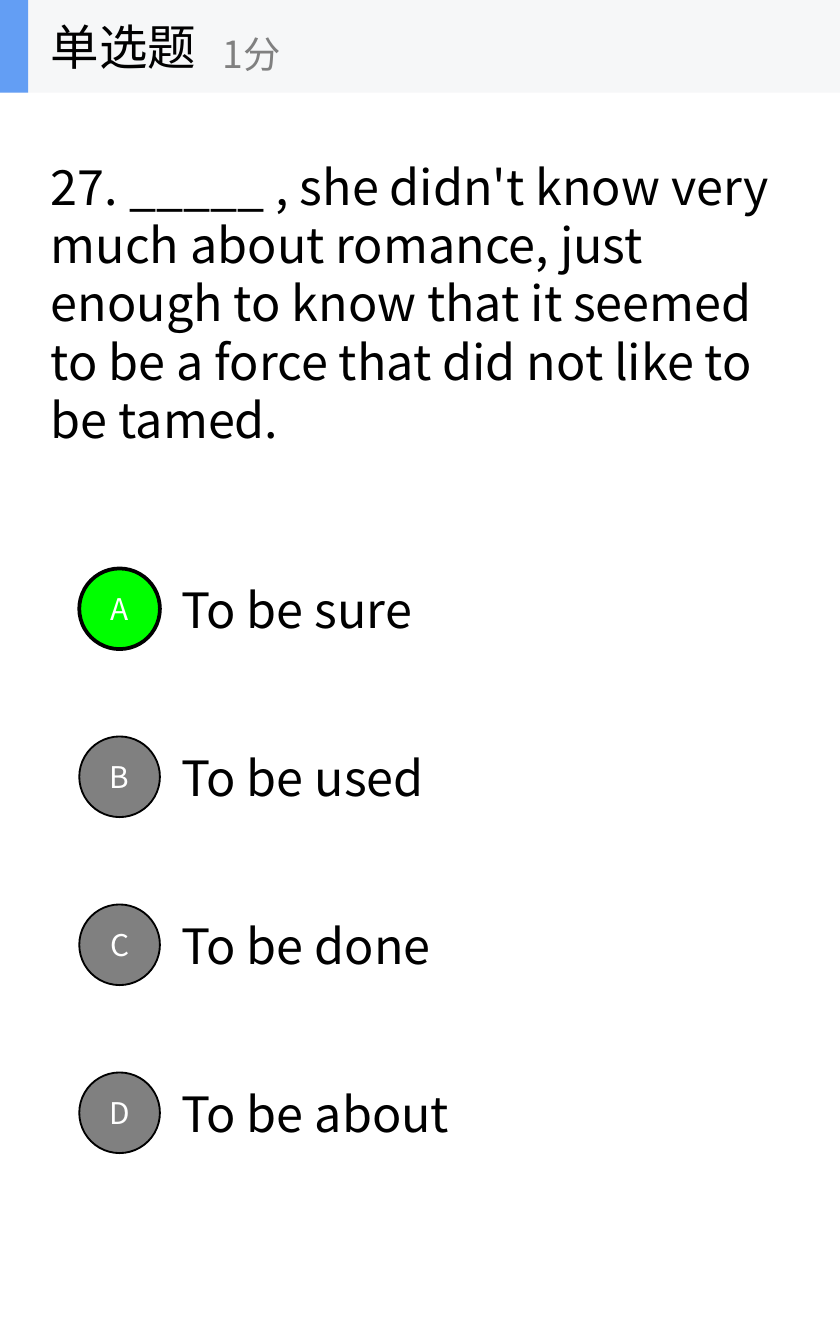
from pptx import Presentation
from pptx.dml.color import RGBColor
from pptx.enum import shapes, text
from pptx.util import Inches, Pt

FONT = "Noto Sans CJK SC"
COLORS = {
    "black": "000000", "white": "FFFFFF", "gray": "808080",
    "correct": "00FF00", "band": "F6F7F8", "accent": "639EF4",
}

# Content
TITLE = "单选题"
SCORE = "1分"
QUESTION = ("27. _____ , she didn't know very much about romance, just enough to know "
            "that it seemed to be a force that did not like to be tamed.")
OPTIONS = [("A", "To be sure"), ("B", "To be used"), ("C", "To be done"), ("D", "To be about")]
ANSWER = "A"

# Layout in inches
WIDTH, HEIGHT = 6.25, 10
HEADER_HEIGHT = 0.69
FIRST_OPTION, OPTION_STEP, OPTION_HEIGHT = 4.06, 1.25, 0.94
BADGE_SIZE = 0.6


def color(name):
    return RGBColor.from_string(COLORS[name])


def write(shape, content, size, color_name, alignment=text.PP_ALIGN.LEFT):
    frame = shape.text_frame
    frame.text = content
    frame.word_wrap = True
    frame.vertical_anchor = text.MSO_ANCHOR.MIDDLE
    paragraph = frame.paragraphs[0]
    paragraph.alignment = alignment
    font = paragraph.runs[0].font
    font.name, font.size = FONT, Pt(size)
    font.color.rgb = color(color_name)


def add_text(slide, box, content, size=26, color_name="black"):
    shape = slide.shapes.add_textbox(*map(Inches, box))
    write(shape, content, size, color_name)


def add_shape(slide, kind, box, fill, line_width=0):
    shape = slide.shapes.add_shape(kind, *map(Inches, box))
    shape.shadow.inherit = False
    shape.fill.solid()
    shape.fill.fore_color.rgb = color(fill)
    if line_width:
        shape.line.color.rgb = color("black")
        shape.line.width = Pt(line_width)
    else:
        shape.line.fill.background()
    return shape


def main():
    presentation = Presentation()
    presentation.slide_width, presentation.slide_height = Inches(WIDTH), Inches(HEIGHT)
    slide = presentation.slides.add_slide(presentation.slide_layouts[6])

    # Question
    add_text(slide, (0.28, HEADER_HEIGHT, 5.58, 3.12), QUESTION)

    # Options with lettered badges
    for index, (letter, answer) in enumerate(OPTIONS):
        top = FIRST_OPTION + index * OPTION_STEP
        add_text(slide, (1.25, top, 4.38, OPTION_HEIGHT), answer)
        correct = letter == ANSWER
        badge_top = top + (OPTION_HEIGHT - BADGE_SIZE) / 2
        badge = add_shape(slide, shapes.MSO_SHAPE.OVAL, (0.59, badge_top, BADGE_SIZE, BADGE_SIZE),
                          "correct" if correct else "gray", 2 if correct else 1)
        write(badge, letter, 16, "white", text.PP_ALIGN.CENTER)

    # Header
    for width, fill in ((WIDTH, "band"), (0.21, "accent")):
        add_shape(slide, shapes.MSO_SHAPE.RECTANGLE, (0, 0, width, HEADER_HEIGHT), fill)
    add_text(slide, (0.28, 0, 2.08, HEADER_HEIGHT), TITLE)
    add_text(slide, (1.56, 0.12, 2.5, 0.56), SCORE, 20, "gray")

    presentation.save("out.pptx")


if __name__ == "__main__":
    main()
